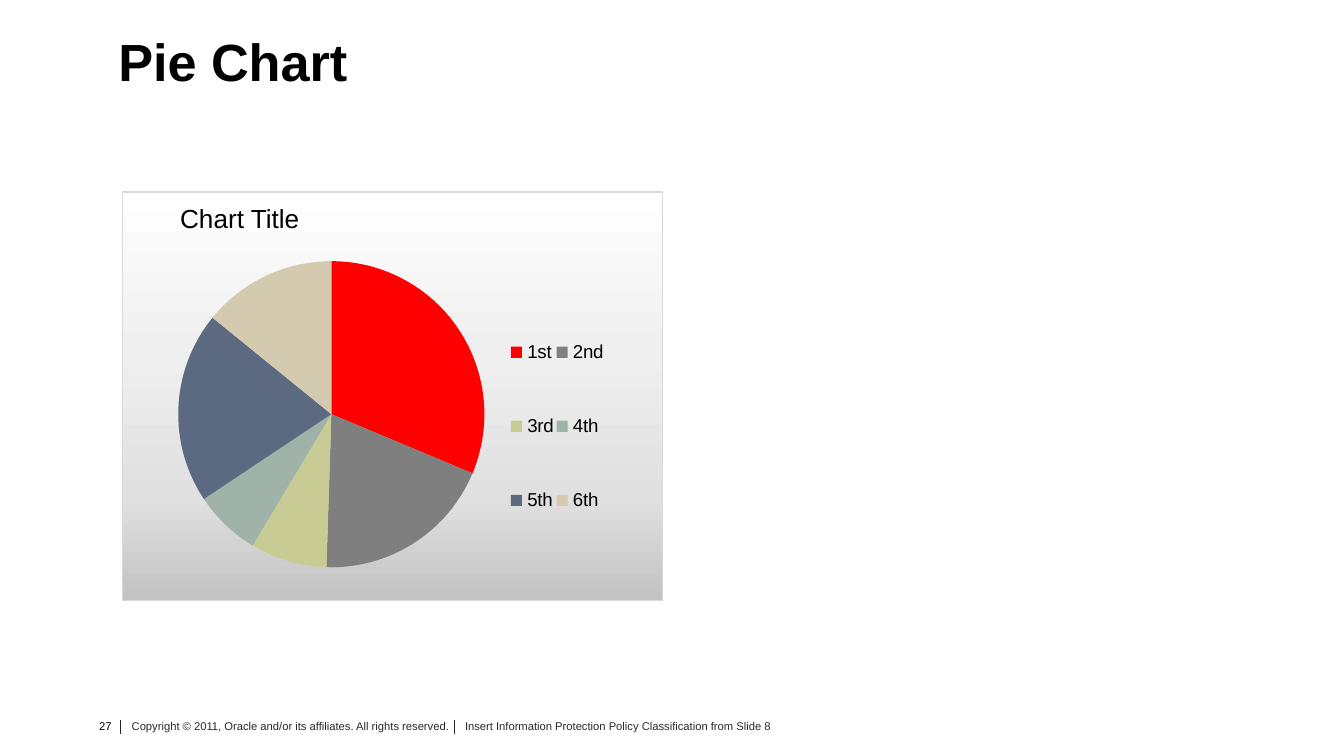
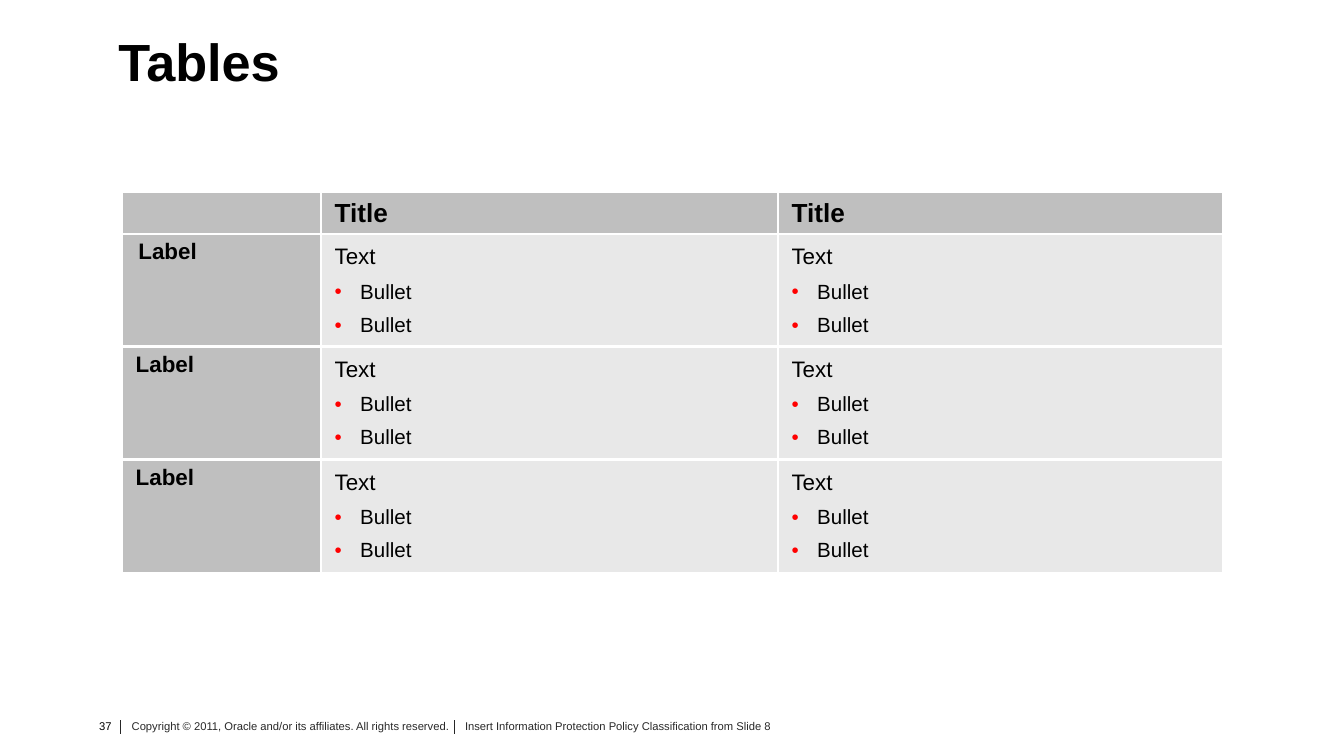
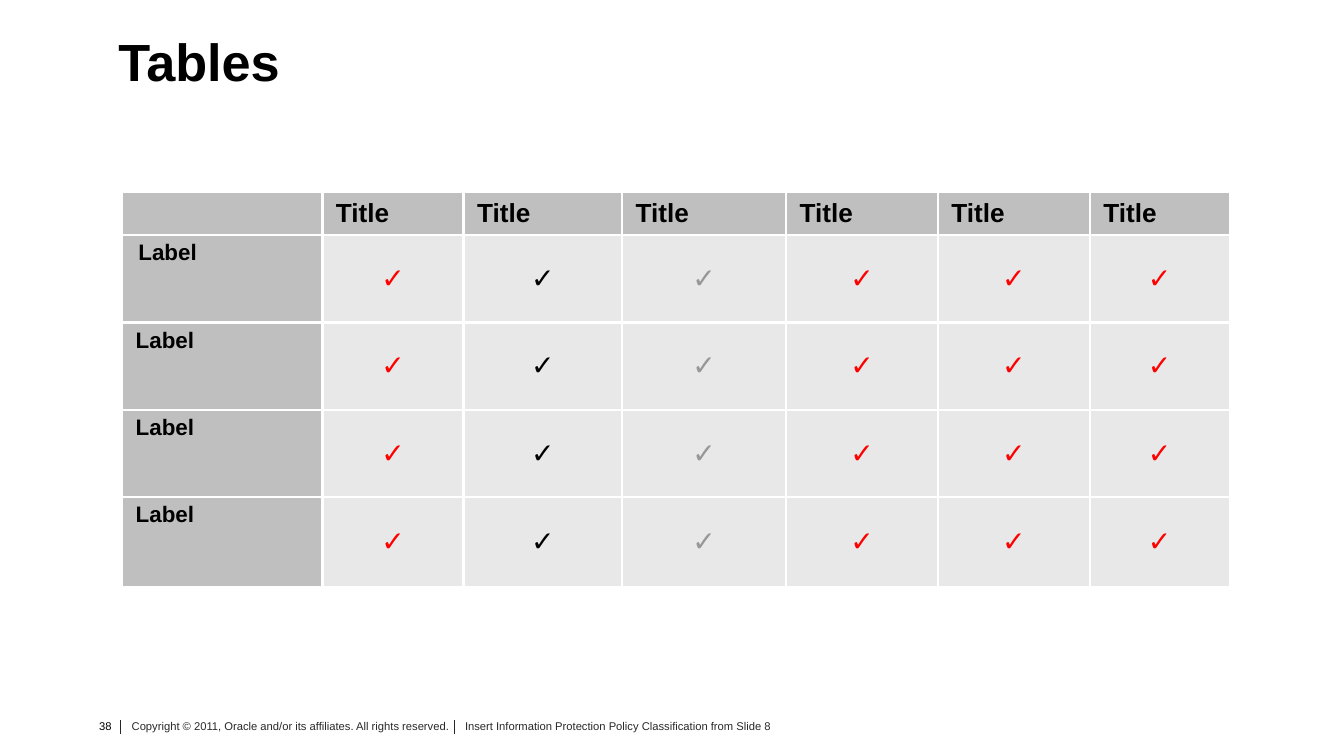
from dataclasses import dataclass
from typing import NamedTuple

from lxml.etree import SubElement as Sub
from pptx import Presentation
from pptx.chart.data import CategoryChartData as ChartData
from pptx.dml.color import RGBColor as RGB
from pptx.enum.chart import XL_CHART_TYPE as Kind, XL_LEGEND_POSITION as Side
from pptx.enum.shapes import MSO_CONNECTOR as Wire, MSO_SHAPE as Form
from pptx.enum.text import MSO_ANCHOR as Anchor, MSO_AUTO_SIZE as Fit, PP_ALIGN as Align
from pptx.oxml.ns import qn
from pptx.util import Emu, Inches, Pt

WIDE = Inches(10)
HIGH = Emu(WIDE * 9 // 16)
COLS, ROWS = 100, 56.25
FONT = "Arial"
HUES = {
    "text": "000000", "foot": "292929", "rule": "262626", "edge": "D9D9D9",
    "head": "BFBFBF", "cell": "E8E8E8", "grid": "FFFFFF",
    "red": "FF0000", "gray": "979797",
}
SHADES = {0: "C2C2C2", 25: "E0E0E0", 61: "EFEFEF", 100: "FFFFFF"}
SLICES = {
    "1st": (31, "FF0000"), "2nd": (19, "7F7F7F"), "3rd": (8, "C8CC94"),
    "4th": (7, "9FB3A9"), "5th": (20, "5B6981"), "6th": (14, "D3CAAF"),
}
PLOT = {"x": 0.11, "y": 0.06, "w": 0.59, "h": 0.89}
KEYS = {"x": 0.71, "y": 0.14, "w": 0.17, "h": 0.8}
COPY = "Copyright © 2011, Oracle and/or its affiliates. All rights reserved."
POLICY = "Insert Information Protection Policy Classification from Slide 8"


class Box(NamedTuple):
    x: float
    y: float
    w: float
    h: float


@dataclass(frozen=True)
class Para:
    text: str
    size: float = 12
    hue: str = "text"
    bold: bool = False
    align: Align = Align.LEFT
    after: float = 0
    left: float = 0
    dot: bool = False


@dataclass(frozen=True)
class Cell:
    paras: tuple[Para, ...] = ()
    fill: str = "head"
    anchor: Anchor = Anchor.MIDDLE


def across(num: float) -> Emu:
    return Emu(round(WIDE * num / COLS))


def down(num: float) -> Emu:
    return Emu(round(HIGH * num / ROWS))


def place(box: Box) -> tuple[Emu, Emu, Emu, Emu]:
    return across(box.x), down(box.y), across(box.w), down(box.h)


def tint(hue: str) -> RGB:
    return RGB.from_string(HUES[hue])


def assign(item, vals: dict) -> None:
    for key, val in vals.items():
        setattr(item, key, val)


def inset(item, left: float, top: float, right: float, base: float) -> None:
    sides = zip(("left", "top", "right", "bottom"), (left, top, right, base))
    assign(item, {f"margin_{side}": Inches(val) for side, val in sides})


def style(font, size: float, hue: str = "text", bold: bool = False) -> None:
    assign(font, {"name": FONT, "size": Pt(size), "bold": bold})
    font.color.rgb = tint(hue)


def bullet(props, left: float) -> None:
    props.set("indent", str(-across(left)))
    Sub(Sub(props, qn("a:buClr")), qn("a:srgbClr"), val=HUES["red"])
    Sub(props, qn("a:buFont"), typeface=FONT)
    Sub(props, qn("a:buChar"), char="•")


def write(frame, paras: tuple[Para, ...]) -> None:
    for num, item in enumerate(paras):
        para = frame.add_paragraph() if num else frame.paragraphs[0]
        props = para._p.get_or_add_pPr()
        props.set("marL", str(across(item.left)))
        if item.dot:
            bullet(props, item.left)
        assign(para, {"alignment": item.align, "space_after": Pt(item.after)})
        run = para.add_run()
        run.text = item.text
        style(run.font, item.size, item.hue, item.bold)


def label(slide, box: Box, para: Para, pads: tuple[float, ...]) -> None:
    frame = slide.shapes.add_textbox(*place(box)).text_frame
    assign(frame, {"word_wrap": True, "auto_size": Fit.NONE})
    inset(frame, *pads)
    write(frame, (para,))


def rule(slide, x: float) -> None:
    line = slide.shapes.add_connector(
        Wire.STRAIGHT, across(x), down(53.6), across(x), down(54.6))
    line.line.color.rgb = tint("rule")
    line.line.width = Pt(0.5)
    Sub(line._element.spPr, qn("a:effectLst"))


def footer(slide, page: int) -> None:
    label(slide, Box(6.9, 53.3, 1.7, 2.4),
          Para(str(page), 6, align=Align.RIGHT), (0, 0.02, 0.03, 0.02))
    for x, width, text in ((9.4, 24.4, COPY), (34.2, 24.7, POLICY)):
        label(slide, Box(x, 53.3, width, 2.4), Para(text, 6, "foot"),
              (0.04, 0.02, 0, 0.02))
        rule(slide, x - 0.4)


def start(deck, name: str, page: int):
    slide = deck.slides.add_slide(deck.slide_layouts[5])
    title = slide.shapes.title
    keys = ("left", "top", "width", "height")
    assign(title, dict(zip(keys, place(Box(8.8, 2.2, 86.9, 5.8)))))
    frame = title.text_frame
    assign(frame, {"word_wrap": True, "auto_size": Fit.NONE,
                   "vertical_anchor": Anchor.MIDDLE})
    inset(frame, 0, 0, 0, 0.06)
    write(frame, (Para(name, 28, bold=True),))
    frame.paragraphs[0].line_spacing = 0.9
    footer(slide, page)
    return slide


def panel(slide, box: Box) -> None:
    shape = slide.shapes.add_shape(Form.RECTANGLE, *place(box))
    shape.shadow.inherit = False
    shape.fill.gradient()
    shape.fill.gradient_angle = 90
    stops = shape._element.spPr.find(qn("a:gradFill")).find(qn("a:gsLst"))
    stops.clear()
    for pos, hue in SHADES.items():
        stop = Sub(stops, qn("a:gs"), pos=str(pos * 1000))
        Sub(stop, qn("a:srgbClr"), val=hue)
    shape.line.color.rgb = tint("edge")
    shape.line.width = Pt(0.75)


def layout(node, spots: dict[str, float], inner: bool = False) -> None:
    old = node.find(qn("c:layout"))
    if old is not None:
        node.remove(old)
    outer = Sub(node, qn("c:layout"))
    spot = Sub(outer, qn("c:manualLayout"))
    if inner:
        Sub(spot, qn("c:layoutTarget"), val="inner")
    for key in "xy":
        Sub(spot, qn(f"c:{key}Mode"), val="edge")
    for key, val in spots.items():
        Sub(spot, qn(f"c:{key}"), val=str(val))
    node.insert(0 if inner else 1, outer)


def pie(slide, box: Box) -> None:
    data = ChartData()
    data.categories = list(SLICES)
    data.add_series("Series 1", [val for val, _ in SLICES.values()])
    chart = slide.shapes.add_chart(Kind.PIE, *place(box), data).chart
    assign(chart, {"has_title": False, "has_legend": True})
    style(chart.font, 10)
    chart.font.name = "Calibri"
    legend = chart.legend
    assign(legend, {"position": Side.RIGHT, "include_in_layout": False})
    style(legend.font, 10)
    layout(legend._element, KEYS)
    plot = chart.plots[0]
    plot.vary_by_categories = True
    layout(chart._chartSpace.chart.plotArea, PLOT, True)
    for num, (_, hue) in enumerate(SLICES.values()):
        fill = plot.series[0].points[num].format.fill
        fill.solid()
        fill.fore_color.rgb = RGB.from_string(hue)


def border(cell, sides: str) -> None:
    props = cell._tc.get_or_add_tcPr()
    for num, side in enumerate(sides):
        line = Sub(props, qn(f"a:ln{side}"), w=str(Pt(1.5)))
        Sub(Sub(line, qn("a:solidFill")), qn("a:srgbClr"), val=HUES["grid"])
        props.insert(num, line)


def grid(slide, wides: list[float], highs: list[float], rows: list[list[Cell]]) -> None:
    box = Box(9.1, 14.3, sum(wides), sum(highs))
    table = slide.shapes.add_table(len(highs), len(wides), *place(box)).table
    for col, wide in zip(table.columns, wides):
        col.width = across(wide)
    for row, high in zip(table.rows, highs):
        row.height = down(high)
    for r, row in enumerate(rows):
        for c, item in enumerate(row):
            cell = table.cell(r, c)
            inset(cell, 0.1, 0.04, 0.1, 0.04)
            cell.vertical_anchor = item.anchor
            cell.fill.solid()
            cell.fill.fore_color.rgb = tint(item.fill)
            tests = {"L": c > 0, "R": c < len(wides) - 1,
                     "T": r > 0, "B": r < len(highs) - 1}
            border(cell, "".join(side for side, ok in tests.items() if ok))
            if item.paras:
                write(cell.text_frame, item.paras)
            else:
                Sub(cell.text_frame.paragraphs[0]._p, qn("a:endParaRPr"), sz="1200")


def rows_of(count: int, body: list[Cell]) -> list[list[Cell]]:
    head = Cell((Para("Title", 14, bold=True),))
    rows = [[Cell()] + [head] * len(body)]
    for num in range(count):
        name = Para("Label", bold=True, left=0 if num else 0.2)
        rows.append([Cell((name,), anchor=Anchor.TOP)] + body)
    return rows


def main() -> None:
    deck = Presentation()
    assign(deck, {"slide_width": WIDE, "slide_height": HIGH})

    slide = start(deck, "Pie Chart", 27)
    panel(slide, Box(9.1, 14.3, 40.2, 30.4))
    label(slide, Box(12.9, 14.6, 16.4, 3.4), Para("Chart Title", 14), (0.05,) * 4)
    pie(slide, Box(7.2, 17.9, 43.1, 25.6))

    slide = start(deck, "Tables", 37)
    point = Para("Bullet", 11, after=5.5, left=1.9, dot=True)
    notes = Cell((Para("Text", after=6), point, point), "cell")
    grid(slide, [14.8, 34, 33.1], [3.1] + [8.4] * 3, rows_of(3, [notes] * 2))

    slide = start(deck, "Tables", 38)
    hues = ["red", "text", "gray"] + ["red"] * 3
    ticks = [Cell((Para("✓", 15, hue, align=Align.CENTER),), "cell") for hue in hues]
    grid(slide, [14.9, 10.5, 11.8, 12.2, 11.3, 11.3, 10.4],
         [3.2] + [6.5] * 3 + [6.7], rows_of(4, ticks))

    deck.save("out.pptx")


if __name__ == "__main__":
    main()
